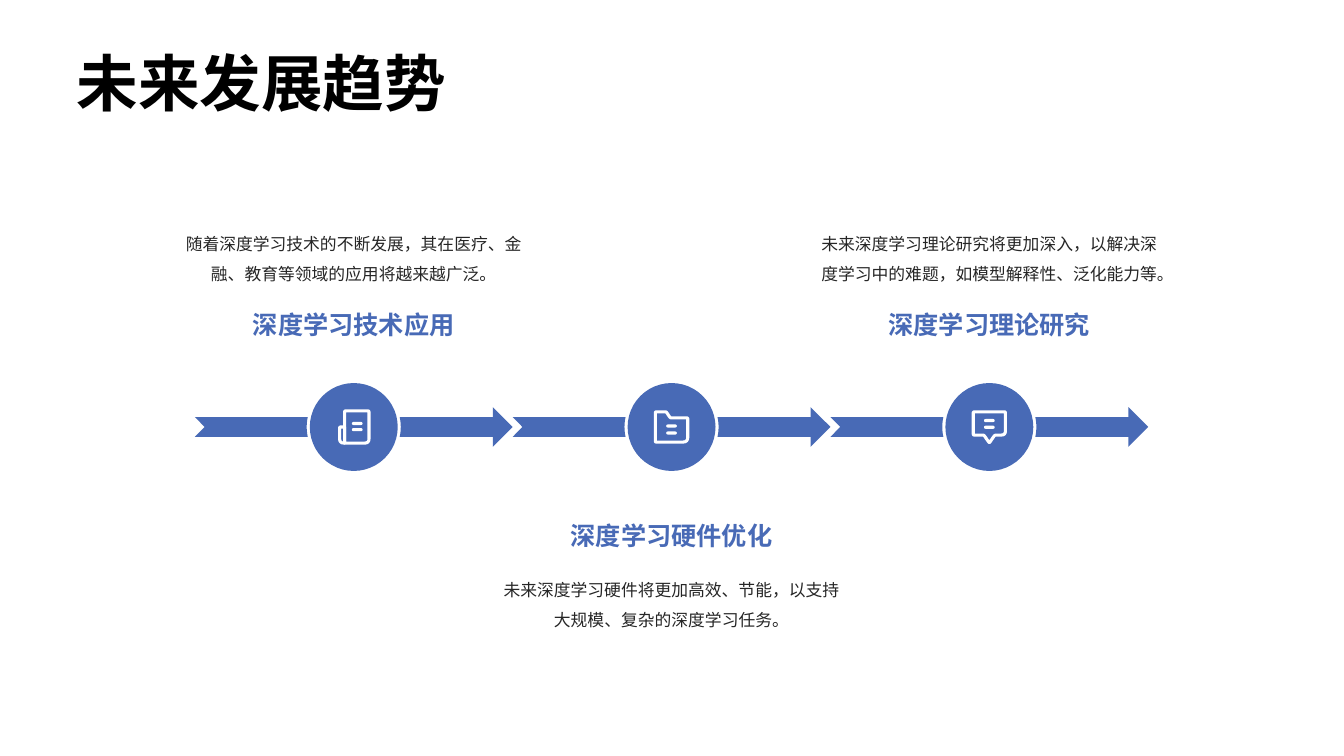
import math
from dataclasses import dataclass

from lxml import etree
from pptx import Presentation
from pptx.dml.color import RGBColor
from pptx.enum.shapes import MSO_SHAPE
from pptx.enum.text import MSO_ANCHOR, PP_ALIGN
from pptx.oxml.ns import qn
from pptx.shapes.autoshape import Shape
from pptx.shapes.shapetree import SlideShapes
from pptx.util import Pt

OVAL, PILL = MSO_SHAPE.OVAL, MSO_SHAPE.ROUNDED_RECTANGLE
TOP, BOTTOM = MSO_ANCHOR.TOP, MSO_ANCHOR.BOTTOM
LEFT, CENTER = PP_ALIGN.LEFT, PP_ALIGN.CENTER

Point = tuple[float, float]
Corner = tuple[float, float, float]  # x, y, corner radius


@dataclass(frozen=True)
class Theme:
    font: str = "Noto Sans CJK SC"
    blue: RGBColor = RGBColor(0x48, 0x6A, 0xB6)
    white: RGBColor = RGBColor(0xFF, 0xFF, 0xFF)
    black: RGBColor = RGBColor(0, 0, 0)
    grey: RGBColor = RGBColor(0x26, 0x26, 0x26)
    title: float = 44
    head: float = 18
    body: float = 12


@dataclass(frozen=True)
class Box:
    x: float
    y: float
    w: float
    h: float


@dataclass(frozen=True)
class Style:
    size: float
    color: RGBColor
    bold: bool = False
    align: PP_ALIGN = CENTER
    anchor: MSO_ANCHOR = BOTTOM
    lead: float | None = None


@dataclass(frozen=True)
class Icon:
    lines: list[list[Corner]]  # closed outlines, from the circle centre
    dashes: list[Point]  # centres of the two short bars


@dataclass(frozen=True)
class Stage:
    head: str
    body: str
    above: bool
    icon: Icon


THEME = Theme()

# Timeline measures
START, PITCH, AXIS = 139.2, 227, 305
SHAFT, TIP, NOTCH = 7.1, 14.2, 7
DISC, RING = 31.4, 33.6
WIDTH, STROKE = 244.8, 2.2

NEWS = Icon(
    [[(-6.5, -11.5, 0.8), (10.9, -11.5, 0.8), (10.9, 11.5, 3), (-6.5, 11.5, 0)],
     [(-6.5, 11.5, 0), (-10.1, 11.5, 3), (-10.1, 0, 0.8), (-6.5, 0, 0)]],
    [(2.5, -2.5), (2.5, 1.9)])
FOLDER = Icon(
    [[(-11.6, -10.8, 0.8), (-3.8, -10.8, 0.8), (-0.9, -6.5, 0.8), (11.6, -6.5, 0.8),
      (11.6, 10.8, 3.5), (-11.6, 10.8, 0.8)]],
    [(0, -0.7), (0, 4.3)])
CHAT = Icon(
    [[(-11.5, -10.8, 0.8), (11.5, -10.8, 0.8), (11.5, 5.8, 3), (3.9, 5.8, 1),
      (0, 11.4, 0.8), (-3.9, 5.8, 0.8), (-11.5, 5.8, 0.8)]],
    [(0, -4.6), (0, 0.2)])

STAGES = [
    Stage("深度学习技术应用", "随着深度学习技术的不断发展，其在医疗、金融、教育等领域的应用将越来越广泛。", True, NEWS),
    Stage("深度学习硬件优化", "未来深度学习硬件将更加高效、节能，以支持大规模、复杂的深度学习任务。", False, FOLDER),
    Stage("深度学习理论研究", "未来深度学习理论研究将更加深入，以解决深度学习中的难题，如模型解释性、泛化能力等。", True, CHAT),
]


def paint(shape: Shape, color: RGBColor) -> None:
    shape.shadow.inherit = False
    shape.fill.solid()
    shape.fill.fore_color.rgb = color
    shape.line.fill.background()


def write(shapes: SlideShapes, text: str, box: Box, style: Style) -> None:
    frame = shapes.add_textbox(Pt(box.x), Pt(box.y), Pt(box.w), Pt(box.h)).text_frame
    frame.word_wrap = True
    frame.margin_left = frame.margin_right = frame.margin_top = frame.margin_bottom = 0
    frame.vertical_anchor = style.anchor
    para = frame.paragraphs[0]
    para.alignment = style.align
    if style.lead:
        para.line_spacing = style.lead
    run = para.add_run()
    run.text = text
    run.font.size = Pt(style.size)
    run.font.bold = style.bold
    run.font.color.rgb = style.color
    run.font.name = THEME.font
    # East Asian glyphs need their own font element
    etree.SubElement(run.font._element, qn("a:ea")).set("typeface", THEME.font)


def trace(shapes: SlideShapes, paths: list[list[Point]]) -> Shape:
    paths = [[(Pt(x), Pt(y)) for x, y in path] for path in paths]
    pen = shapes.build_freeform(*paths[0][0])
    pen.add_line_segments(paths[0][1:], close=True)
    for path in paths[1:]:
        pen.move_to(*path[0])
        pen.add_line_segments(path[1:], close=True)
    return pen.convert_to_shape()


def smooth(corners: list[Corner], mid: float) -> list[Point]:
    """Round each corner with a short quadratic curve."""
    path: list[Point] = []
    for i, (x, y, r) in enumerate(corners):
        if not r:
            path.append((mid + x, AXIS + y))
            continue
        ends = []
        for px, py, _ in (corners[i - 1], corners[(i + 1) % len(corners)]):
            part = r / math.hypot(px - x, py - y)
            ends.append((x + (px - x) * part, y + (py - y) * part))
        (ax, ay), (bx, by) = ends
        for t in (0, 0.25, 0.5, 0.75, 1):
            a, c, b = (1 - t) ** 2, 2 * t * (1 - t), t * t
            path.append((mid + a * ax + c * x + b * bx, AXIS + a * ay + c * y + b * by))
    return path


def arrow(shapes: SlideShapes, left: float) -> None:
    mid, right = left + PITCH / 2, left + PITCH
    edge = math.asin(SHAFT / RING)
    arc = [(RING * math.cos(a), RING * math.sin(a))
           for a in (edge * k / 4 for k in range(-4, 5))]
    tail = [(left, AXIS - SHAFT), *((mid - x, AXIS + y) for x, y in arc),
            (left, AXIS + SHAFT), (left + NOTCH, AXIS)]
    neck = right - TIP
    point = [(neck, AXIS - TIP), (right, AXIS), (neck, AXIS + TIP), (neck, AXIS + SHAFT),
             *((mid + x, AXIS - y) for x, y in arc), (neck, AXIS - SHAFT)]
    paint(trace(shapes, [tail, point]), THEME.blue)


def badge(shapes: SlideShapes, icon: Icon, mid: float) -> None:
    disc = shapes.add_shape(OVAL, Pt(mid - DISC), Pt(AXIS - DISC), Pt(2 * DISC), Pt(2 * DISC))
    paint(disc, THEME.blue)
    for line in icon.lines:
        shape = trace(shapes, [smooth(line, mid)])
        shape.shadow.inherit = False
        shape.fill.background()
        shape.line.color.rgb = THEME.white
        shape.line.width = Pt(STROKE)
    for x, y in icon.dashes:
        dash = shapes.add_shape(PILL, Pt(mid + x - 3.8), Pt(AXIS + y - STROKE / 2),
                                Pt(7.6), Pt(STROKE))
        dash.adjustments[0] = 0.5
        paint(dash, THEME.white)


def label(shapes: SlideShapes, stage: Stage, mid: float) -> None:
    left = mid - WIDTH / 2
    body, head = (110.9, 217.4) if stage.above else (406.8, 367.9)
    anchor = BOTTOM if stage.above else TOP
    write(shapes, stage.body, Box(left, body, WIDTH, 92.2),
          Style(THEME.body, THEME.grey, anchor=anchor, lead=1.5))
    write(shapes, stage.head, Box(left, head, WIDTH, 25.2),
          Style(THEME.head, THEME.blue, bold=True))


def main() -> None:
    deck = Presentation()
    deck.slide_width, deck.slide_height = Pt(960), Pt(540)
    shapes = deck.slides.add_slide(deck.slide_layouts[6]).shapes

    # Title
    write(shapes, "未来发展趋势", Box(54.7, 28.1, 850.3, 56.9),
          Style(THEME.title, THEME.black, bold=True, align=LEFT))

    # Timeline
    for i, stage in enumerate(STAGES):
        left = START + i * PITCH
        mid = left + PITCH / 2
        arrow(shapes, left)
        badge(shapes, stage.icon, mid)
        label(shapes, stage, mid)

    deck.save("out.pptx")


if __name__ == "__main__":
    main()
